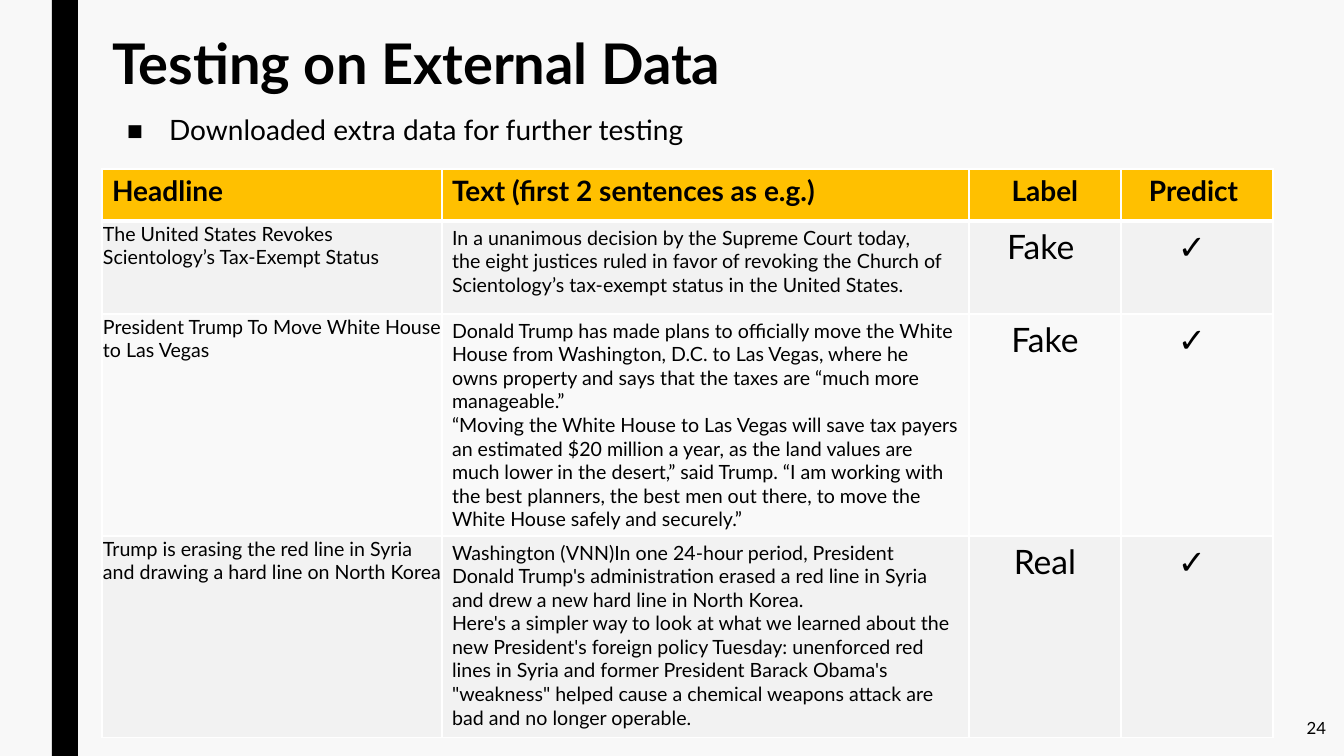
from lxml.etree import SubElement as Sub
from pptx import Presentation
from pptx.dml.color import RGBColor as RGB
from pptx.enum.shapes import MSO_SHAPE as SHAPE
from pptx.enum.text import MSO_ANCHOR as ANCHOR, MSO_AUTO_SIZE as AUTO, PP_ALIGN as ALIGN
from pptx.oxml.ns import qn
from pptx.util import Pt

PX = 914400 / 100.8
FONT = "Lato"
BLACK = RGB(0x00, 0x00, 0x00)
WHITE = RGB(0xFF, 0xFF, 0xFF)
PAPER = RGB(0xF8, 0xF8, 0xF8)
GOLD = RGB(0xFF, 0xC0, 0x00)
GREY = RGB(0xF2, 0xF2, 0xF2)
PALE = RGB(0xF9, 0xF9, 0xF9)

HARD = chr(160)  # no-break space
COLS = [340, 527, 152, 152]
ROWS = [52, 93, 202, 202]
HEADS = ["Headline", "Text (first 2 sentences as e.g.)", "Label", "Predict "]
NEWS = [
    ("The United States Revokes Scientology’s Tax-Exempt Status",
     [f"In a unanimous decision by the{HARD}Supreme Court{HARD}today, "
      f"the{HARD}eight justices{HARD}ruled in favor of revoking the{HARD}Church of "
      f"Scientology’s{HARD}tax-exempt status in the United States."],
     "Fake "),
    ("President Trump To Move White House to Las Vegas",
     ["Donald Trump has made plans to officially move the White House from Washington, "
      "D.C. to Las Vegas, where he owns property and says that the taxes are “much more "
      "manageable.”",
      "“Moving the White House to Las Vegas will save tax payers an estimated $20 million "
      "a year, as the land values are much lower in the desert,” said Trump. “I am working "
      "with the best planners, the best men out there, to move the White House safely and "
      "securely.”"],
     "Fake"),
    ("Trump is erasing the red line in Syria and drawing a hard line on North Korea",
     ["Washington (VNN)In one 24-hour period, President Donald Trump's administration "
      "erased a red line in Syria and drew a new hard line in North Korea.",
      "Here's a simpler way to look at what we learned about the new President's foreign "
      "policy Tuesday: unenforced red lines in Syria and former President Barack Obama's "
      "\"weakness\" helped cause a chemical weapons attack are bad and no longer operable."],
     "Real"),
]


def px(n):
    return round(n * PX)


def place(shape, x, y, w, h):
    shape.left, shape.top, shape.width, shape.height = map(px, (x, y, w, h))


def write(para, text, size, bold=False, align=ALIGN.LEFT):
    para.alignment = align
    run = para.add_run()
    run.text = text
    font = run.font
    font.name, font.size, font.bold = FONT, Pt(size), bold
    font.color.rgb = BLACK


def prepare(shape, anchor):
    frame = shape.text_frame
    frame.word_wrap = True
    frame.auto_size = AUTO.NONE
    frame.vertical_anchor = anchor
    return frame.paragraphs[0]


def add_bar(slide):
    bar = slide.shapes.add_shape(SHAPE.RECTANGLE, px(52), 0, px(26), px(756))
    bar.shadow.inherit = False
    bar.fill.solid()
    bar.fill.fore_color.rgb = BLACK
    bar.line.fill.background()


def add_title(slide, text):
    title = slide.shapes.title
    place(title, 102, 32, 1058, 79)
    para = prepare(title, ANCHOR.TOP)
    para.line_spacing = 0.89
    write(para, text, 40, True)


def add_list(slide, text):
    body = slide.placeholders[1]
    place(body, 117, 110, 1058, 395)
    para = prepare(body, ANCHOR.TOP)
    props = para._p.get_or_add_pPr()
    props.set("marL", str(px(42)))
    props.set("indent", str(-px(42)))
    Sub(props, qn("a:buSzPct"), val="60000")
    Sub(props, qn("a:buFont"), typeface=FONT)
    Sub(props, qn("a:buChar"), char="■")
    para.line_spacing = 0.94
    para.space_before = Pt(0)
    para.space_after = Pt(2)
    write(para, text, 20)


def add_number(slide, text):
    # Stands in the free margin right of the table
    box = slide.shapes.add_textbox(px(1276), px(706), px(60), px(44))
    write(prepare(box, ANCHOR.MIDDLE), text, 12, align=ALIGN.RIGHT)


def fill_cell(cell, texts, size, color, bold=False, align=ALIGN.LEFT):
    frame = cell.text_frame
    for i, text in enumerate(texts):
        para = frame.add_paragraph() if i else frame.paragraphs[0]
        write(para, text, size, bold, align)
    # Borders come before the fill in the cell properties
    props = cell._tc.get_or_add_tcPr()
    for side in ("lnL", "lnR", "lnT", "lnB"):
        width = 3 if bold and side == "lnB" else 1
        line = Sub(props, qn(f"a:{side}"), w=str(Pt(width)))
        Sub(Sub(line, qn("a:solidFill")), qn("a:srgbClr"), val=str(WHITE))
    cell.fill.solid()
    cell.fill.fore_color.rgb = color


def add_grid(slide):
    frame = slide.shapes.add_table(len(ROWS), len(COLS), px(102), px(169),
                                   px(sum(COLS)), px(sum(ROWS)))
    table = frame.table
    for col, width in zip(table.columns, COLS):
        col.width = px(width)
    for row, height in zip(table.rows, ROWS):
        row.height = px(height)

    # Header row
    for c, head in enumerate(HEADS):
        align = ALIGN.CENTER if c > 1 else ALIGN.LEFT
        fill_cell(table.cell(0, c), [head], 20, GOLD, True, align)

    # News rows
    for r, (head, texts, label) in enumerate(NEWS, 1):
        color = GREY if r % 2 else PALE
        first = table.cell(r, 0)
        first.margin_left = first.margin_top = px(1)
        first.margin_right = first.margin_bottom = 0
        fill_cell(first, [head], 14, color)
        fill_cell(table.cell(r, 1), texts, 14, color)
        for c, mark in ((2, label), (3, "✓")):
            fill_cell(table.cell(r, c), [mark], 24, color, align=ALIGN.CENTER)
        table.cell(r, 3).margin_right = px(20)


def main():
    deck = Presentation()
    deck.slide_width, deck.slide_height = px(1344), px(756)
    slide = deck.slides.add_slide(deck.slide_layouts[1])
    back = slide.background.fill
    back.solid()
    back.fore_color.rgb = PAPER
    add_bar(slide)
    add_title(slide, "Testing on External Data")
    add_list(slide, "Downloaded extra data for further testing")
    add_number(slide, "24")
    add_grid(slide)
    deck.save("out.pptx")


if __name__ == "__main__":
    main()
